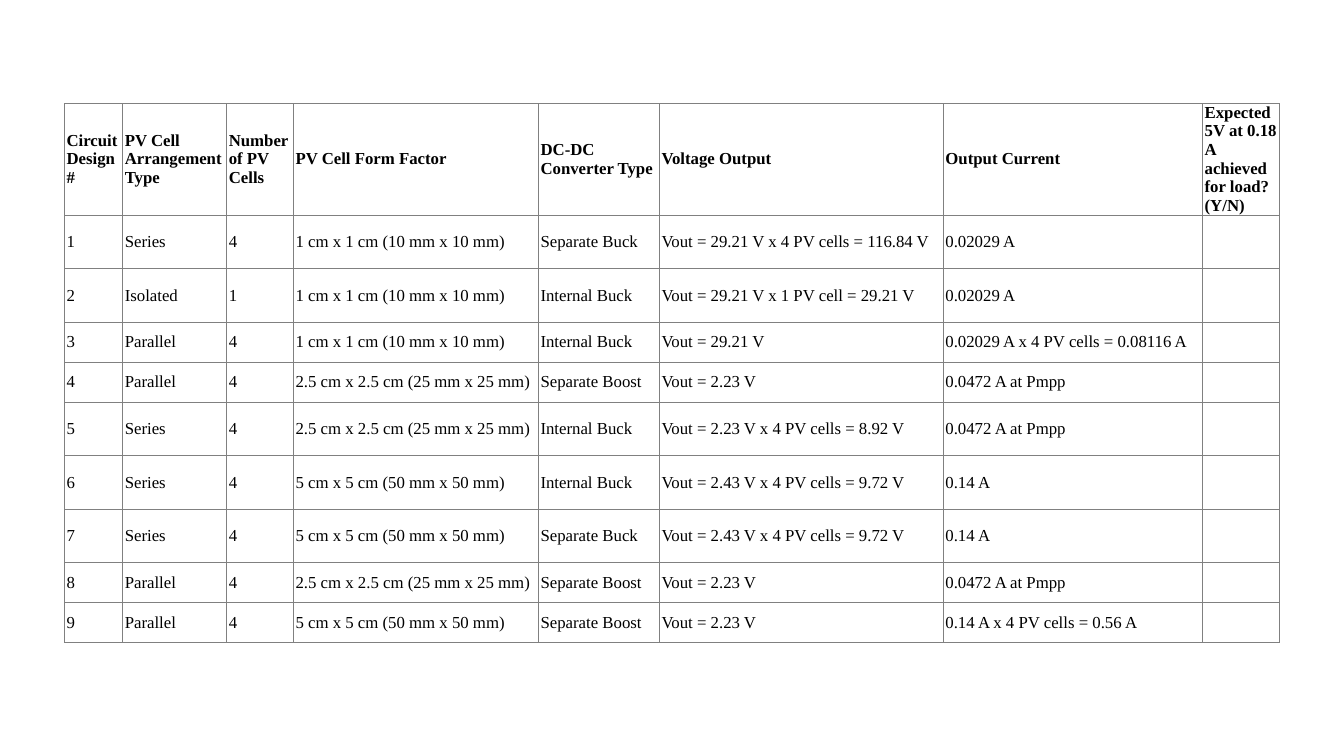
from lxml import etree
from pptx import Presentation
from pptx.dml.color import RGBColor
from pptx.enum.text import MSO_ANCHOR
from pptx.oxml.ns import qn
from pptx.util import Pt

MIDDLE = MSO_ANCHOR.MIDDLE
BLACK = RGBColor(0, 0, 0)
GRAY = RGBColor(0x80, 0x80, 0x80)
FONT = "Times New Roman"

LEFT, TOP = 46.1, 73.8
WIDTHS = [41.6, 74.3, 47.7, 175, 86.4, 202.8, 185.2, 55]
HEAD_H, TALL, SHORT = 80, 38.2, 28.6

HEADS = ["Circuit Design #", "PV Cell Arrangement Type", "Number of PV Cells",
         "PV Cell Form Factor", "DC-DC Converter Type", "Voltage Output",
         "Output Current", "Expected 5V at 0.18 A achieved for load? (Y/N)"]
SMALL = "1 cm x 1 cm (10 mm x 10 mm)"
MEDIUM = "2.5 cm x 2.5 cm (25 mm x 25 mm)"
LARGE = "5 cm x 5 cm (50 mm x 50 mm)"
# Arrangement, cell count, form factor, converter, voltage, current
DESIGNS = [
    ("Series", "4", SMALL, "Separate Buck",
     "Vout = 29.21 V x 4 PV cells = 116.84 V", "0.02029 A"),
    ("Isolated", "1", SMALL, "Internal Buck",
     "Vout = 29.21 V x 1 PV cell = 29.21 V", "0.02029 A"),
    ("Parallel", "4", SMALL, "Internal Buck",
     "Vout = 29.21 V", "0.02029 A x 4 PV cells = 0.08116 A"),
    ("Parallel", "4", MEDIUM, "Separate Boost",
     "Vout = 2.23 V", "0.0472 A at Pmpp"),
    ("Series", "4", MEDIUM, "Internal Buck",
     "Vout = 2.23 V x 4 PV cells = 8.92 V", "0.0472 A at Pmpp"),
    ("Series", "4", LARGE, "Internal Buck",
     "Vout = 2.43 V x 4 PV cells = 9.72 V", "0.14 A"),
    ("Series", "4", LARGE, "Separate Buck",
     "Vout = 2.43 V x 4 PV cells = 9.72 V", "0.14 A"),
    ("Parallel", "4", MEDIUM, "Separate Boost",
     "Vout = 2.23 V", "0.0472 A at Pmpp"),
    ("Parallel", "4", LARGE, "Separate Boost",
     "Vout = 2.23 V", "0.14 A x 4 PV cells = 0.56 A"),
]


def add_borders(cell):
    props = cell._tc.get_or_add_tcPr()
    for side in ("a:lnL", "a:lnR", "a:lnT", "a:lnB"):
        line = etree.SubElement(props, qn(side), w=str(Pt(0.5)))
        fill = etree.SubElement(line, qn("a:solidFill"))
        etree.SubElement(fill, qn("a:srgbClr"), val=str(GRAY))


def fill_cell(cell, text, bold):
    add_borders(cell)
    cell.fill.background()
    cell.vertical_anchor = MIDDLE
    cell.margin_left = cell.margin_right = Pt(1.5)
    cell.margin_top = cell.margin_bottom = 0
    cell.text = text
    font = cell.text_frame.paragraphs[0].font
    font.name, font.size, font.bold = FONT, Pt(12), bold
    font.color.rgb = BLACK


def row_height(design):
    return SHORT if design[0] == "Parallel" else TALL


def add_grid(slide, rows, heights):
    frame = slide.shapes.add_table(len(rows), len(WIDTHS), Pt(LEFT), Pt(TOP),
                                   Pt(sum(WIDTHS)), Pt(sum(heights)))
    table = frame.table
    table.first_row = table.horz_banding = False
    for col, width in zip(table.columns, WIDTHS):
        col.width = Pt(width)
    for r, (texts, height) in enumerate(zip(rows, heights)):
        table.rows[r].height = Pt(height)
        for c, text in enumerate(texts):
            fill_cell(table.cell(r, c), text, bold=r == 0)


def main():
    deck = Presentation()
    deck.slide_width, deck.slide_height = Pt(960), Pt(540)
    slide = deck.slides.add_slide(deck.slide_layouts[6])
    rows = [HEADS] + [(str(n), *design, "")
                      for n, design in enumerate(DESIGNS, 1)]
    heights = [HEAD_H] + [row_height(design) for design in DESIGNS]
    add_grid(slide, rows, heights)
    deck.save("out.pptx")


if __name__ == "__main__":
    main()
